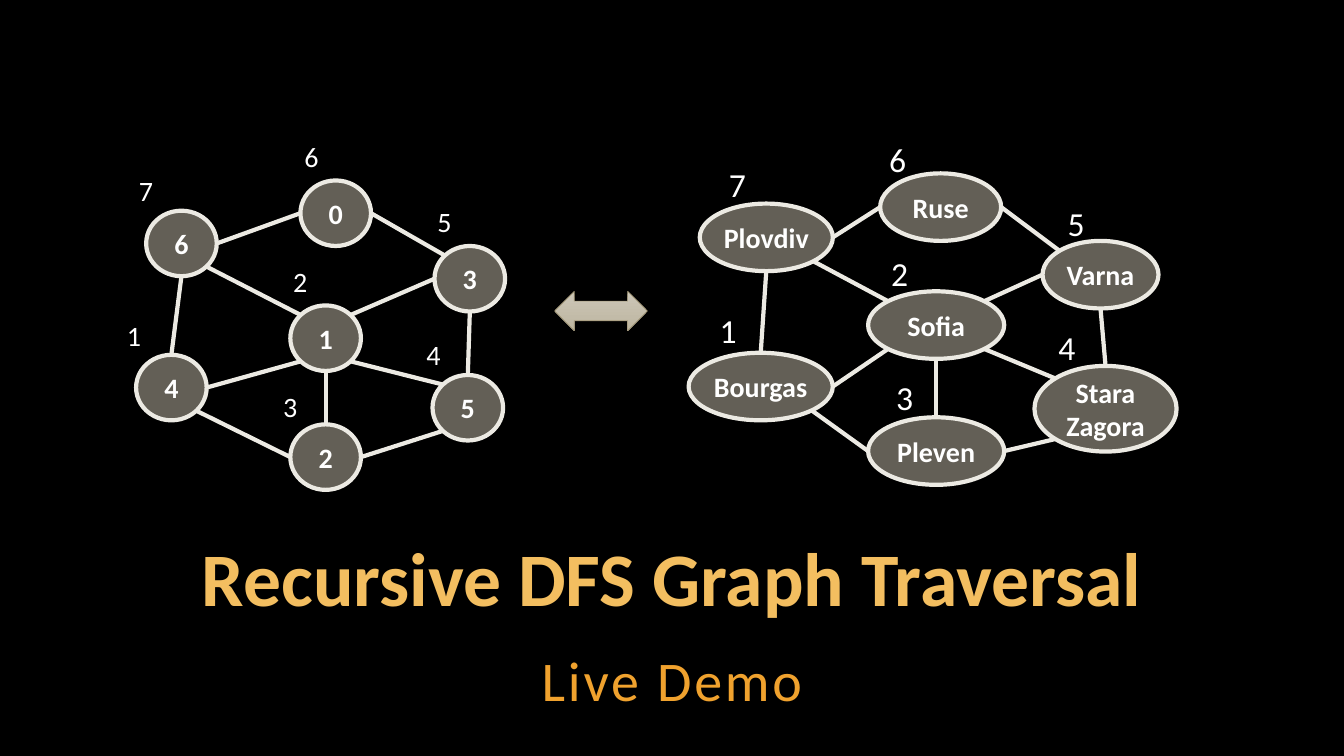
from dataclasses import dataclass
from math import sqrt

from lxml import etree
from pptx import Presentation
from pptx.dml.color import RGBColor
from pptx.enum.shapes import MSO_CONNECTOR, MSO_SHAPE
from pptx.enum.text import MSO_ANCHOR, MSO_AUTO_SIZE, PP_ALIGN
from pptx.oxml.ns import qn
from pptx.util import Inches, Pt

OVAL = MSO_SHAPE.OVAL
ARROW = MSO_SHAPE.LEFT_RIGHT_ARROW
LINE = MSO_CONNECTOR.STRAIGHT
CENTER = PP_ALIGN.CENTER
TOP, MIDDLE, BOTTOM = MSO_ANCHOR.TOP, MSO_ANCHOR.MIDDLE, MSO_ANCHOR.BOTTOM
GROW = MSO_AUTO_SIZE.SHAPE_TO_FIT_TEXT


@dataclass(frozen=True)
class Theme:
    font: str = "Calibri"
    back: str = "000000"
    text: str = "FFFFFF"
    title: str = "F3BE60"
    sub: str = "F0A22E"
    node: str = "C7BFAC"
    edge: str = "ECEAE3"
    fade: tuple = ("CDC7B9", "BDB59F")
    rim: str = "A19574"
    title_size: int = 54
    sub_size: int = 40
    node_size: int = 20


THEME = Theme()
DIAG = sqrt(0.5)
SITES = {
    "n": (0, -1), "s": (0, 1), "w": (-1, 0), "e": (1, 0),
    "nw": (-DIAG, -DIAG), "ne": (DIAG, -DIAG),
    "sw": (-DIAG, DIAG), "se": (DIAG, DIAG),
}
EDGES = [
    (0, "w", 6, "e"), (0, "e", 3, "nw"), (3, "s", 5, "n"), (6, "se", 1, "nw"),
    (6, "s", 4, "n"), (4, "se", 2, "w"), (3, "w", 1, "ne"), (1, "s", 2, "n"),
    (5, "sw", 2, "e"), (4, "e", 1, "sw"), (1, "se", 5, "nw"),
]

DOT = (0.7, 0.65)
NUMBERS = {
    0: ("0", 1.82, 0.46, *DOT), 6: ("6", 0.29, 0.76, *DOT),
    4: ("4", 0.19, 2.19, *DOT), 1: ("1", 1.72, 1.7, *DOT),
    5: ("5", 3.13, 2.39, *DOT), 2: ("2", 1.72, 2.88, *DOT),
    3: ("3", 3.15, 1.11, *DOT),
}
NUMBER_STEPS = [(0, 1.78), (1.65, 1.24), (1.55, 2.48), (2.97, 1.97),
                (3.08, 0.65), (1.76, 0), (0.12, 0.34)]

CITIES = {
    0: ("Ruse", 1.9, 0.39, 1.2, 0.67), 6: ("Plovdiv", 0.11, 0.69, 1.32, 0.67),
    4: ("Bourgas", 0, 2.17, 1.43, 0.67), 1: ("Sofia", 1.78, 1.56, 1.35, 0.67),
    5: ("Stara Zagora", 3.43, 2.3, 1.41, 0.85),
    2: ("Pleven", 1.78, 2.81, 1.35, 0.67), 3: ("Varna", 3.51, 1.06, 1.15, 0.67),
}
CITY_STEPS = [(0.21, 1.7), (1.91, 1.13), (1.96, 2.36), (3.57, 1.86),
              (3.66, 0.63), (1.89, 0), (0.3, 0.25)]


def rgb(code):
    return RGBColor.from_string(code)


def style(font, size, color, bold=False):
    font.name, font.size, font.bold = THEME.font, Pt(size), bold
    font.color.rgb = rgb(color)


def stroke(line, color, width):
    line.color.rgb = rgb(color)
    line.width = Pt(width)


def inset(frame, side, end):
    frame.margin_left = frame.margin_right = Inches(side)
    frame.margin_top = frame.margin_bottom = Inches(end)


def add_node(group, name, box):
    oval = group.shapes.add_shape(OVAL, *map(Inches, box))
    oval.shadow.inherit = False
    oval.fill.solid()
    oval.fill.fore_color.rgb = rgb(THEME.node)
    tint = oval.fill._xPr.find(qn("a:solidFill"))[0]
    etree.SubElement(tint, qn("a:alpha"), val="50000")
    stroke(oval.line, THEME.edge, 3)
    frame = oval.text_frame
    inset(frame, 0.04, 0.05)
    frame.word_wrap = " " in name
    frame.vertical_anchor = MIDDLE
    para = frame.paragraphs[0]
    para.text, para.alignment = name, CENTER
    style(para.font, THEME.node_size, THEME.text, True)


def add_edge(group, start, end):
    line = group.shapes.add_connector(LINE, *map(Inches, start + end))
    stroke(line.line, THEME.edge, 3)
    etree.SubElement(line._element.spPr, qn("a:effectLst"))


def add_step(group, number, box, size):
    label = group.shapes.add_textbox(*map(Inches, box))
    frame = label.text_frame
    frame.word_wrap, frame.auto_size = False, GROW
    para = frame.paragraphs[0]
    para.text = str(number)
    style(para.font, size, THEME.text)


def site(box, side):
    left, top, width, height = box
    dx, dy = SITES[side]
    return left + width / 2 * (1 + dx), top + height / 2 * (1 + dy)


def add_graph(slide, origin, nodes, steps, step_box, step_size):
    left, top = origin
    group = slide.shapes.add_group_shape()
    boxes = {key: (left + x, top + y, w, h)
             for key, (_, x, y, w, h) in nodes.items()}
    for key, box in boxes.items():
        add_node(group, nodes[key][0], box)
    for tail, out, head, into in EDGES:
        add_edge(group, site(boxes[tail], out), site(boxes[head], into))
    for number, (x, y) in enumerate(steps, 1):
        add_step(group, number, (left + x, top + y, *step_box), step_size)


def add_arrow(slide, box):
    arrow = slide.shapes.add_shape(ARROW, *map(Inches, box))
    arrow.shadow.inherit = False
    arrow.fill.gradient()
    arrow.fill.gradient_angle = 270
    for stop, color in zip(arrow.fill.gradient_stops, THEME.fade):
        stop.color.rgb = rgb(color)
    stroke(arrow.line, THEME.rim, 0.5)


def add_head(holder, box, text, anchor, spacing):
    holder.left, holder.top, holder.width, holder.height = map(Inches, box)
    frame = holder.text_frame
    inset(frame, 0.04, 0.04)
    frame.word_wrap, frame.auto_size = True, GROW
    frame.vertical_anchor = anchor
    para = frame.paragraphs[0]
    para.text, para.alignment = text, CENTER
    para.line_spacing, para.space_before = spacing, Pt(0)
    return para


def add_titles(slide, box):
    left, top, width = box
    title = add_head(slide.shapes.title, (left, top, width, 0.9),
                     "Recursive DFS Graph Traversal", BOTTOM, 0.9)
    style(title.font, THEME.title_size, THEME.title, True)
    sub = add_head(slide.placeholders[1], (left, top + 1.01, width, 0.79),
                   "Live Demo", TOP, 1.05)
    sub.space_after = Pt(6)
    style(sub.font, THEME.sub_size, THEME.sub)
    sub.runs[0]._r.get_or_add_rPr().set("spc", "200")


def main():
    deck = Presentation()
    deck.slide_width, deck.slide_height = Inches(13.33), Inches(7.5)
    slide = deck.slides.add_slide(deck.slide_layouts[0])
    slide.background.fill.solid()
    slide.background.fill.fore_color.rgb = rgb(THEME.back)
    add_titles(slide, (1, 5.32, 11.33))
    add_arrow(slide, (5.5, 2.89, 0.92, 0.39))
    add_graph(slide, (6.83, 1.33), CITIES, CITY_STEPS, (0.37, 0.5), 24)
    add_graph(slide, (1.16, 1.33), NUMBERS, NUMBER_STEPS, (0.42, 0.52), 20)
    deck.save("out.pptx")


if __name__ == "__main__":
    main()
